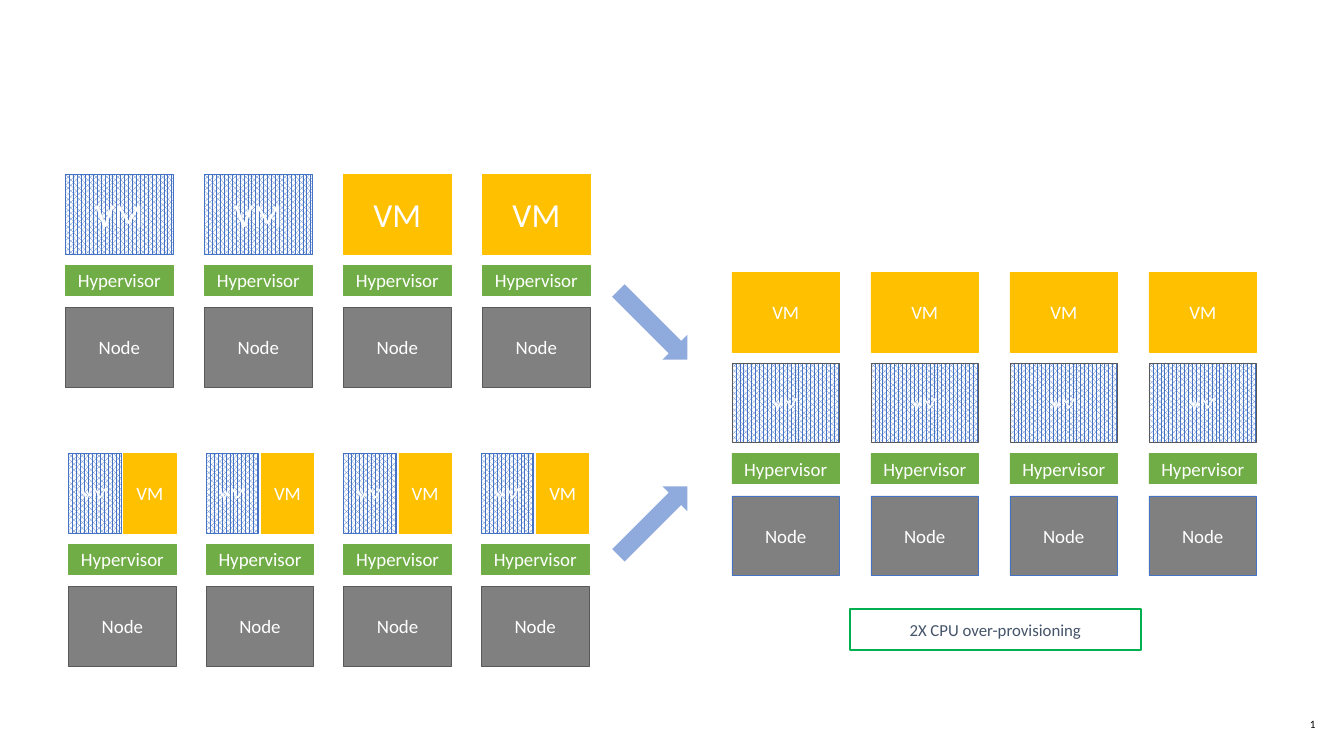
from pptx import Presentation
from pptx.dml.color import RGBColor
from pptx.enum.dml import MSO_PATTERN
from pptx.enum.shapes import MSO_SHAPE as SHAPE
from pptx.enum.text import MSO_ANCHOR as ANCHOR, PP_ALIGN as ALIGN
from pptx.util import Pt

WHITE = RGBColor(0xFF, 0xFF, 0xFF)
BLACK = RGBColor(0, 0, 0)
GREEN = RGBColor(0x70, 0xAD, 0x47)
GOLD = RGBColor(0xFF, 0xC0, 0x00)
BLUE = RGBColor(0x44, 0x72, 0xC4)
LIGHT_BLUE = RGBColor(0x8F, 0xAA, 0xDC)
GRAY = RGBColor(0x80, 0x80, 0x80)
DARK_GRAY = RGBColor(0x59, 0x59, 0x59)
NOTE_GREEN = RGBColor(0x00, 0xB0, 0x50)
SLATE = RGBColor(0x44, 0x54, 0x6A)

BOX_W, BOX_H = 76.8, 57
HALF_W, HALF_STEP = 37.4, 39.3
HYPERVISOR_H = 21.6
HYPERVISOR_DY, NODE_DY = 64.8, 95

prs = Presentation()
prs.slide_width, prs.slide_height = Pt(960), Pt(540)
s = prs.slides.add_slide(prs.slide_layouts[6])


def set_text(sp, text, size, color, align=ALIGN.CENTER):
    tf = sp.text_frame
    tf.text = text
    tf.word_wrap = True
    tf.vertical_anchor = ANCHOR.MIDDLE
    tf.margin_left = tf.margin_right = tf.margin_top = tf.margin_bottom = 0
    p = tf.paragraphs[0]
    p.alignment = align
    font = p.runs[0].font
    font.name, font.size, font.color.rgb = "Calibri", Pt(size), color


def add_box(text, x, y, w, h, fill, line, size=13.5):
    sp = s.shapes.add_shape(SHAPE.RECTANGLE, Pt(x), Pt(y), Pt(w), Pt(h))
    sp.shadow.inherit = False
    if fill == BLUE:
        sp.fill.patterned()
        sp.fill.pattern = MSO_PATTERN.PERCENT_75
        sp.fill.fore_color.rgb = BLUE
        sp.fill.back_color.rgb = WHITE
    else:
        sp.fill.solid()
        sp.fill.fore_color.rgb = fill
    sp.line.color.rgb = line
    sp.line.width = Pt(0.5)
    set_text(sp, text, size, WHITE)


clusters = [
    ("single", 46.8, 124.6, 99.3, DARK_GRAY),
    ("split", 49, 323.8, 98.3, DARK_GRAY),
    ("stacked", 522.8, 259.2, 99.3, BLUE),
]
for layout, left, top, pitch, node_line in clusters:
    for i in range(4):
        x = left + i * pitch
        add_box("Hypervisor", x, top + HYPERVISOR_DY, BOX_W, HYPERVISOR_H, GREEN, GREEN)
        add_box("Node", x, top + NODE_DY, BOX_W, BOX_H, GRAY, node_line)
        if layout == "single":
            color = BLUE if i < 2 else GOLD
            add_box("VM", x, top, BOX_W, BOX_H, color, color, 24)
        elif layout == "split":
            add_box("VM", x, top, HALF_W, BOX_H, BLUE, BLUE)
            add_box("VM", x + HALF_STEP, top, HALF_W, BOX_H, GOLD, GOLD)
        else:
            add_box("VM", x, top, BOX_W, BOX_H, BLUE, DARK_GRAY)
            add_box("VM", x, top - HYPERVISOR_DY, BOX_W, BOX_H, GOLD, GOLD)

for y, angle in [(219.6, 45), (359.4, 315)]:
    arrow = s.shapes.add_shape(SHAPE.RIGHT_ARROW, Pt(431.5), Pt(y), Pt(69.8), Pt(25.2))
    arrow.shadow.inherit = False
    arrow.rotation = angle
    arrow.fill.solid()
    arrow.fill.fore_color.rgb = LIGHT_BLUE
    arrow.line.fill.background()

note = s.shapes.add_shape(SHAPE.RECTANGLE, Pt(607), Pt(434.9), Pt(208), Pt(29.5))
note.shadow.inherit = False
note.fill.background()
note.line.color.rgb = NOTE_GREEN
note.line.width = Pt(1.25)
set_text(note, "2X CPU over-provisioning", 12, SLATE)

page = s.shapes.add_textbox(Pt(905), Pt(503.3), Pt(34.6), Pt(28.8))
set_text(page, "1", 8, BLACK, ALIGN.RIGHT)
page.text_frame.paragraphs[0].line_spacing = 0.9

prs.save("out.pptx")
